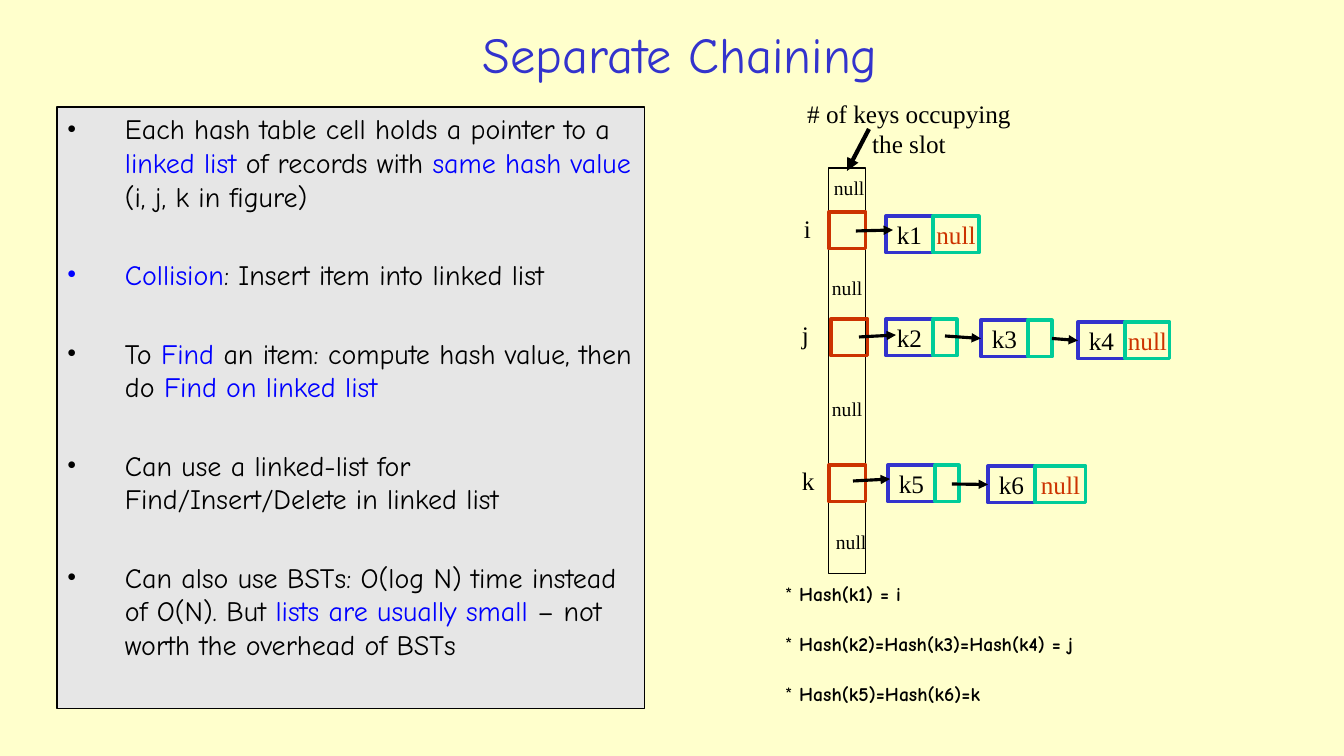
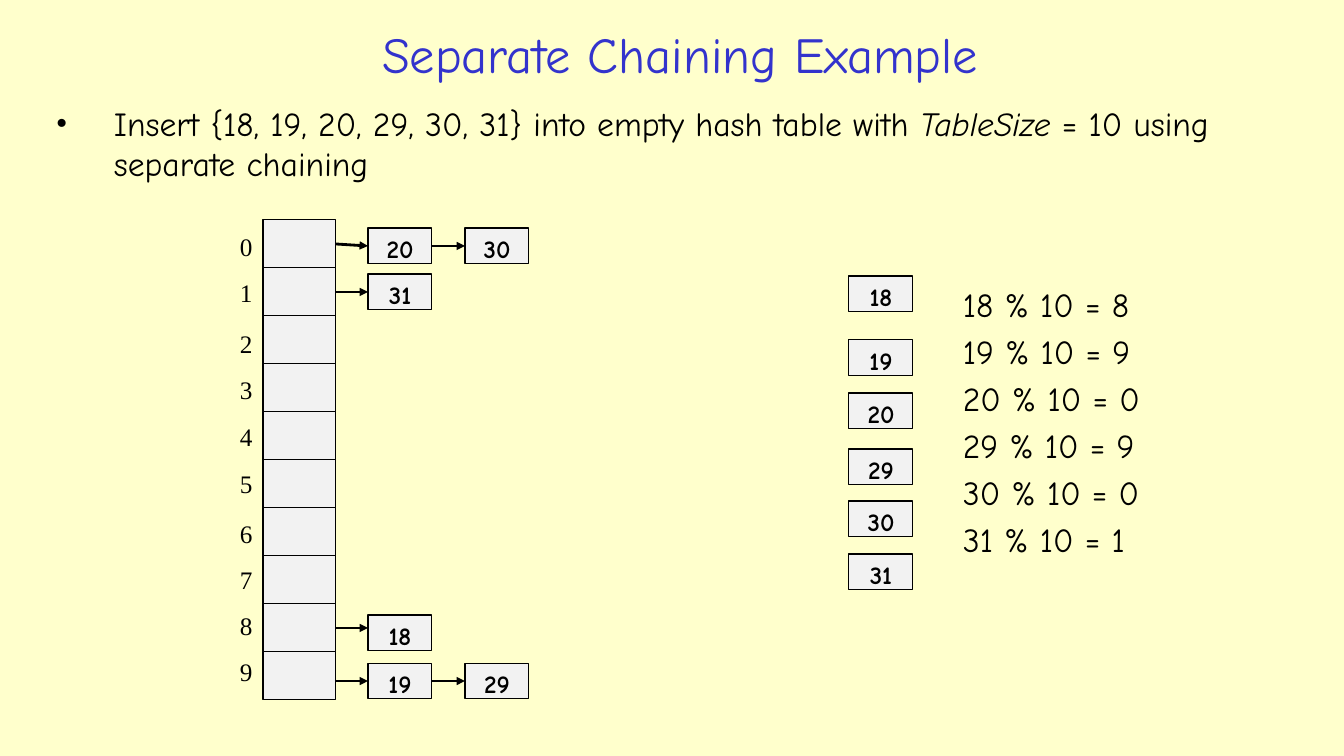
from lxml import etree
from pptx import Presentation
from pptx import util as u
from pptx.dml.color import RGBColor
from pptx.enum import dml, shapes, text
from pptx.oxml.ns import qn

PX = 12192000 / 1344
COLORS = {
    "page": "FFFFCC", "title": "3333CC", "ink": "000000", "accent": "0000FF",
    "panel": "E6E6E6", "cell": "F2F2F2",
    "slot": "CC3300", "key": "3333CC", "next": "00CC99",
}
HAND, SERIF = "Comic Neue", "Times New Roman"
CENTER, LEFT = text.PP_ALIGN.CENTER, text.PP_ALIGN.LEFT

# A run is a plain string or a pair of string and style.
CHAINING_POINTS = [
    ["Each hash table cell holds a pointer to a ", ("linked list ", "accent"),
     "of records with ", ("same hash value ", "accent"), "(i, j, k in figure)"],
    [("Collision", "accent"), ": Insert item into linked list"],
    ["To ", ("Find ", "accent"), "an item: compute hash value, then do ",
     ("Find on linked list", "accent")],
    ["Can use a linked-list for Find/Insert/Delete in linked list"],
    ["Can also use BSTs: O(log N) time instead of O(N). But ",
     ("lists are usually small ", "accent"), "– not worth the overhead of BSTs"],
]
HASH_NOTES = [["* ", (note, "bold")] for note in (
    "Hash(k1) = i", "Hash(k2)=Hash(k3)=Hash(k4) = j", "Hash(k5)=Hash(k6)=k")]
EMPTY_SLOTS = [(824, 171), (822, 271), (822, 392), (826, 525)]
# name, name position, slot position
USED_SLOTS = [("i", (794, 208), (829, 212)),
              ("j", (792, 314), (831, 319)),
              ("k", (792, 460), (829, 465))]
# key, left, top, width of the next-pointer cell, its text
RECORDS = [("k1", 886, 216, 46, "null"),
           ("k2", 886, 319, 24, ""), ("k3", 981, 320, 24, ""),
           ("k4", 1078, 322, 45, "null"),
           ("k5", 888, 465, 24, ""), ("k6", 988, 466, 51, "null")]
POINTERS = [((856, 231), (893, 230)),
            ((859, 337), (896, 335)), ((945, 336), (979, 336)),
            ((1053, 338), (1079, 338)),
            ((853, 481), (890, 479)), ((952, 484), (989, 482))]

EXAMPLE_TASK = [["Insert {18, 19, 20, 29, 30, 31} into empty hash table with ",
                 ("TableSize ", "italic"), "= 10 using separate chaining"]]
TABLE_SIZE = 10
INDEX_TOPS = [226, 272, 323, 369, 416, 463, 513, 559, 605, 651]
KEY_TOPS = {18: 276, 19: 340, 20: 393, 29: 449, 30: 501, 31: 554}
# keys in the chain, top of the chain, height of its first arrow
CHAINS = [((20, 30), 228, 244), ((31,), 274, 292),
          ((18,), 615, 628), ((19, 29), 663, 681)]


def px(value):
    return u.Emu(round(value * PX))


def color(name):
    return RGBColor.from_string(COLORS[name])


def write(shape, paragraphs, size, font=HAND, ink="ink", align=LEFT, bold=None,
          before=0, spacing=None, bullet=False, middle=False, wrap=True):
    """Fill a shape with paragraphs, each a list of runs."""
    frame = shape.text_frame
    frame.word_wrap = wrap
    frame.vertical_anchor = text.MSO_ANCHOR.MIDDLE if middle else text.MSO_ANCHOR.TOP
    for number, runs in enumerate(paragraphs):
        paragraph = frame.add_paragraph() if number else frame.paragraphs[0]
        paragraph.alignment = align
        if number:
            paragraph.space_before = u.Pt(before)
        if spacing:
            paragraph.line_spacing = spacing
        if bullet:
            properties = paragraph._p.get_or_add_pPr()
            properties.set("marL", str(px(58)))
            properties.set("indent", str(-px(58)))
            etree.SubElement(properties, qn("a:buFont")).set("typeface", SERIF)
            etree.SubElement(properties, qn("a:buChar")).set("char", "•")
        paragraph.font.size = u.Pt(size)
        paragraph.font.name = font
        paragraph.font.bold = bold
        paragraph.font.color.rgb = color(ink)
        for item in runs:
            words, style = (item, None) if isinstance(item, str) else item
            run = paragraph.add_run()
            run.text = words
            # LibreOffice reads sizes and fonts from the run.
            run.font.size, run.font.name = u.Pt(size), font
            run.font.bold = True if style == "bold" else bold
            run.font.italic = True if style == "italic" else None
            run.font.color.rgb = color("accent" if style == "accent" else ink)


def add_text(slide, place, paragraphs, size, **style):
    box = slide.shapes.add_textbox(*map(px, place))
    write(box, paragraphs, size, **style)


def add_label(slide, place, words, size=18):
    add_text(slide, place, [[words]], size, font=SERIF, wrap=False)


def add_box(slide, place, fill=None, line="ink", width=0.75):
    box = slide.shapes.add_shape(shapes.MSO_SHAPE.RECTANGLE, *map(px, place))
    box.shadow.inherit = False
    if fill:
        box.fill.solid()
        box.fill.fore_color.rgb = color(fill)
    else:
        box.fill.background()
    box.line.color.rgb = color(line)
    box.line.width = u.Pt(width)
    return box


def add_line(slide, start, end, width):
    line = slide.shapes.add_connector(
        shapes.MSO_CONNECTOR.STRAIGHT, *map(px, start + end))
    line.line.color.rgb = color("ink")
    line.line.width = u.Pt(width)
    etree.SubElement(line._element.spPr, qn("a:effectLst"))
    return line


def add_arrow(slide, start, end, width, boxes=()):
    """Draw an arrow, joined to each box whose side middle it meets."""
    arrow = add_line(slide, start, end, width)
    etree.SubElement(arrow.line._get_or_add_ln(), qn("a:tailEnd")).set("type", "triangle")

    def meets(x, y, point):
        return max(abs(x - px(point[0])), abs(y - px(point[1]))) <= px(3)

    for box in boxes:
        middle = box.top + box.height // 2
        if meets(box.left + box.width, middle, start):
            arrow.begin_connect(box, 3)
        if meets(box.left, middle, end):
            arrow.end_connect(box, 1)


def new_slide(deck, title):
    slide = deck.slides.add_slide(deck.slide_layouts[6])
    slide.background.fill.solid()
    slide.background.fill.fore_color.rgb = color("page")
    add_text(slide, (199, 15, 962, 77), [[title]], 36, ink="title",
             align=CENTER, middle=True)
    return slide


def chaining_slide(deck):
    slide = new_slide(deck, "Separate Chaining")
    panel = add_box(slide, (57, 107, 588, 602), "panel")
    write(panel, CHAINING_POINTS, 20, before=32, bullet=True)

    add_box(slide, (829, 168, 37, 406))
    edge = add_line(slide, (866, 168), (866, 574), 0.75)
    edge.line.dash_style = dml.MSO_LINE.ROUND_DOT
    for position in EMPTY_SLOTS:
        add_label(slide, position + (51, 34), "null", 14)
    for name, name_at, slot_at in USED_SLOTS:
        add_label(slide, name_at + (30, 40), name)
        add_box(slide, slot_at + (37, 37), line="slot", width=2.25)

    cells = []
    for key, left, top, next_width, next_text in RECORDS:
        for words, x, width, line, ink in (
                (key, left, 47, "key", "ink"),
                (next_text, left + 47, next_width, "next", "slot")):
            cell = add_box(slide, (x, top, width, 37), line=line, width=2.25)
            if words:
                write(cell, [[words]], 18, font=SERIF, ink=ink, align=CENTER,
                      middle=True, wrap=False)
            cells.append(cell)
    for start, end in POINTERS:
        add_arrow(slide, start, end, 2.25, cells)

    add_text(slide, (794, 93, 230, 71), [["# of keys occupying"], ["the slot"]],
             18, font=SERIF, align=CENTER, wrap=False)
    add_arrow(slide, (869, 129), (847, 171), 3)
    add_text(slide, (775, 580, 362, 165), HASH_NOTES, 14, before=20.6, spacing=0.9)


def example_slide(deck):
    slide = new_slide(deck, "Separate Chaining Example")
    add_text(slide, (46, 98, 1264, 95), EXAMPLE_TASK, 24, bullet=True)

    def add_key(key, left, top):
        box = add_box(slide, (left, top, 64, 36), "cell")
        write(box, [[str(key)]], 18, align=CENTER, bold=True)
        return box

    slots = []
    for index in range(TABLE_SIZE):
        slots.append(add_box(slide, (263, 220 + 48 * index, 73, 48), "cell"))
        add_label(slide, (230, INDEX_TOPS[index], 33, 40), str(index))

    for keys, top, first_arrow in CHAINS:
        nodes = [add_key(key, 368 + 97 * step, top) for step, key in enumerate(keys)]
        for step in range(len(keys)):
            y = top + 18 if step else first_arrow
            start = 335 + 97 * step
            add_arrow(slide, (start, y), (start + 33, y), 2, slots + nodes)

    for key, top in KEY_TOPS.items():
        add_key(key, 849, top)
    sums = [[f"{key} % {TABLE_SIZE} = {key % TABLE_SIZE}"] for key in KEY_TOPS]
    add_text(slide, (953, 279, 208, 313), sums, 24, before=4.8)


def main():
    deck = Presentation()
    deck.slide_width, deck.slide_height = px(1344), px(756)
    chaining_slide(deck)
    example_slide(deck)
    deck.save("out.pptx")


if __name__ == "__main__":
    main()
